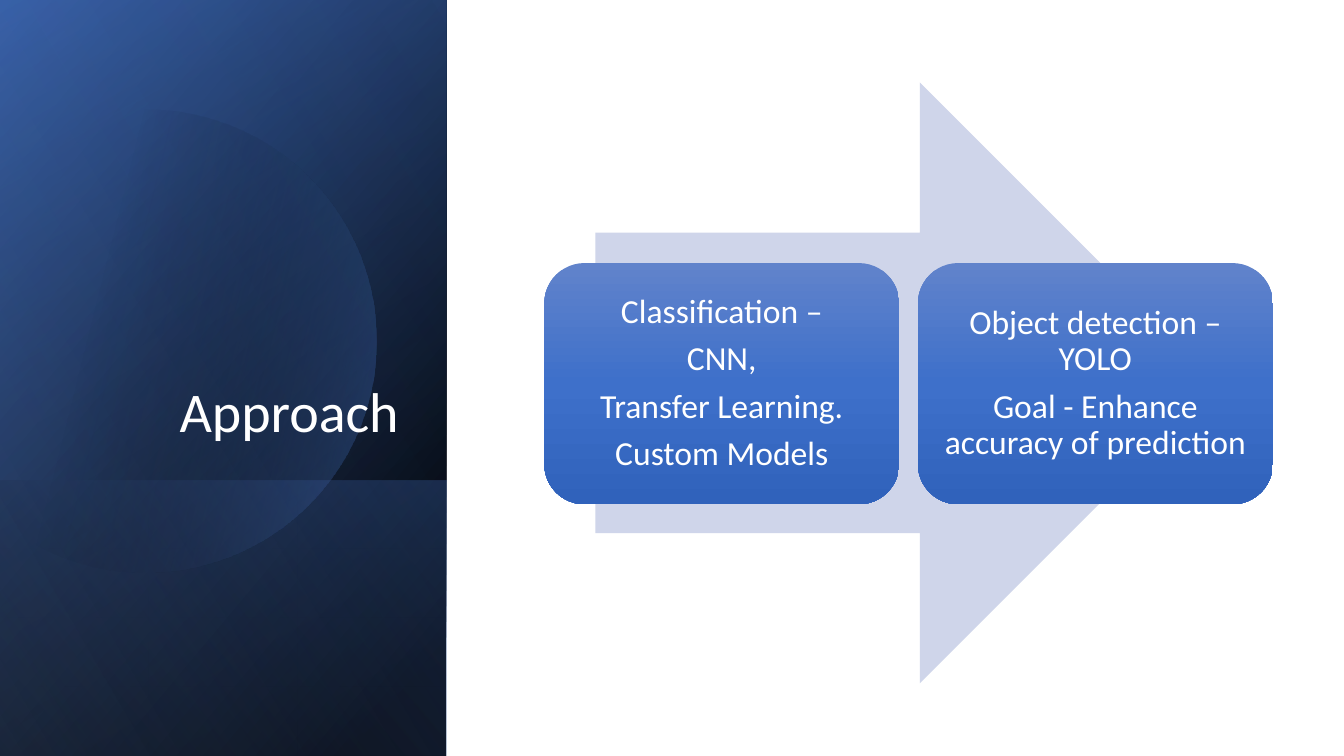
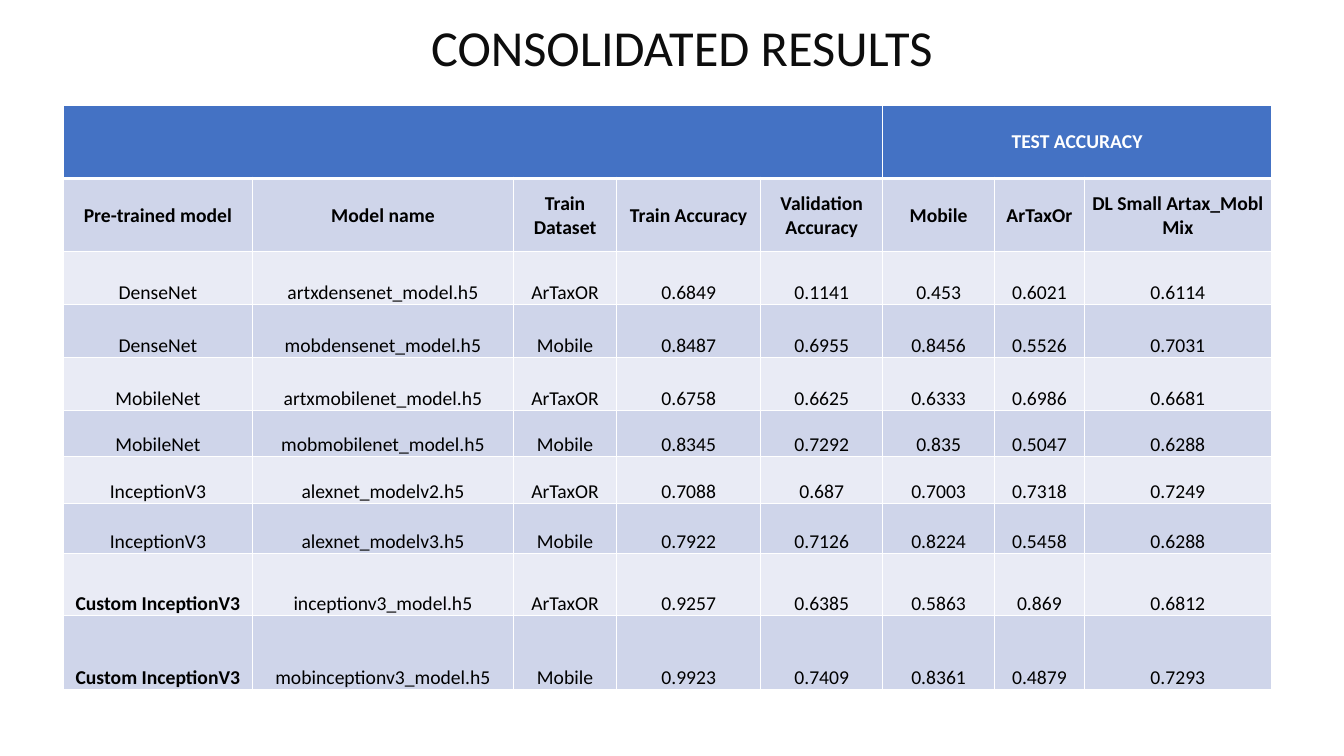
"""Build two slides: the modelling approach and the consolidated results."""
from math import acos, cos, sin

from lxml import etree
from pptx import Presentation
from pptx.dml.color import RGBColor
from pptx.enum.shapes import MSO_SHAPE
from pptx.enum.text import MSO_ANCHOR, PP_ALIGN
from pptx.oxml.ns import qn
from pptx.util import Emu, Inches, Pt

RECTANGLE = MSO_SHAPE.RECTANGLE
ROUNDED = MSO_SHAPE.ROUNDED_RECTANGLE
ARROW = MSO_SHAPE.RIGHT_ARROW
CENTER, RIGHT = PP_ALIGN.CENTER, PP_ALIGN.RIGHT
MIDDLE, BOTTOM = MSO_ANCHOR.MIDDLE, MSO_ANCHOR.BOTTOM

FONT = "Calibri"
WHITE, BLACK, INK = "FFFFFF", "000000", "0D0D0D"
BLUE, NAVY, SKY = "4472C4", "2F5597", "8FAADC"
BAND_DARK, BAND_LIGHT = "CFD5EA", "E9EBF5"

WIDTH, HEIGHT = Emu(12192000), Emu(6858000)
COLUMN, ROW = WIDTH // 1000, HEIGHT // 1000


def paint(shape, stops, angle=0):
    """Fill a shape with (position, colour, opacity) stops, or one plain colour."""
    shape.shadow.inherit = False
    shape.line.fill.background()
    if isinstance(stops, str):
        shape.fill.solid()
        shape.fill.fore_color.rgb = RGBColor.from_string(stops)
        return
    shape.fill.gradient()
    shape.fill.gradient_angle = 360 - angle
    stop_list = shape.element.spPr.find(qn("a:gradFill")).find(qn("a:gsLst"))
    for old_stop in list(stop_list):
        stop_list.remove(old_stop)
    for position, color, opacity in stops:
        stop = etree.SubElement(stop_list, qn("a:gs"), pos=str(position * 1000))
        value = etree.SubElement(stop, qn("a:srgbClr"), val=color)
        etree.SubElement(value, qn("a:alpha"), val=str(opacity * 1000))


def write(frame, text, size, color, alignment=CENTER, bold=False, line_spacing=0.9, space_after=0):
    """Set the text of a frame and format every paragraph alike."""
    frame.word_wrap = True
    frame.text = text
    for paragraph in frame.paragraphs:
        paragraph.alignment = alignment
        paragraph.line_spacing = line_spacing
        paragraph.space_after = Pt(space_after)
        for run in paragraph.runs:
            run.font.name = FONT
            run.font.size = Pt(size)
            run.font.bold = bold
            run.font.color.rgb = RGBColor.from_string(color)


presentation = Presentation()
presentation.slide_width, presentation.slide_height = WIDTH, HEIGHT
blank = presentation.slide_layouts[6]

slide = presentation.slides.add_slide(blank)
panel_width = 332 * COLUMN
panels = [
    (0, [(8, BLACK, 100), (100, NAVY, 100)], 50),
    (0, [(0, BLACK, 0), (99, BLUE, 46)], 30),
    (635, [(2, BLUE, 29), (100, BLACK, 30)], 130),
    (0, [(0, BLACK, 0), (99, SKY, 11)], 120),
]
for index, (top_row, stops, angle) in enumerate(panels):
    if index == 3:
        center_x, center_y, radius = 108 * COLUMN, 451 * ROW, 172 * COLUMN
        half_sweep = acos(-center_x / radius)
        angles = [half_sweep * (step / 60 - 1) for step in range(121)]
        points = [(center_x + radius * cos(turn), center_y + radius * sin(turn)) for turn in angles]
        builder = slide.shapes.build_freeform(*points[0], scale=1.0)
        builder.add_line_segments(points[1:], close=True)
        paint(builder.convert_to_shape(), [(29, BLACK, 0), (100, BLUE, 43)], 14)
    panel_height = HEIGHT - top_row * ROW
    left = (panel_width - panel_height) // 2
    top = top_row * ROW + (panel_height - panel_width) // 2
    panel = slide.shapes.add_shape(RECTANGLE, left, top, panel_height, panel_width)
    panel.rotation = 90
    panel.element.spPr.find(qn("a:xfrm")).set("flipH", "1")
    paint(panel, stops, angle)

title = slide.shapes.add_textbox(48 * COLUMN, 245 * ROW, 256 * COLUMN, 350 * ROW)
title.text_frame.vertical_anchor = BOTTOM
write(title.text_frame, "Approach", 40, WHITE, RIGHT)

arrow = slide.shapes.add_shape(ARROW, 443 * COLUMN, 109 * ROW, 465 * COLUMN, 795 * ROW)
paint(arrow, BAND_DARK)
cards = [
    "Classification –\nCNN,\nTransfer Learning.\nCustom Models",
    "Object detection –YOLO\nGoal - Enhance accuracy of prediction",
]
for index, text in enumerate(cards):
    left = (405 + 278 * index) * COLUMN
    card = slide.shapes.add_shape(ROUNDED, left, 348 * ROW, 264 * COLUMN, 319 * ROW)
    paint(card, [(0, "6183CB", 100), (50, "3E70CA", 100), (100, "3062BB", 100)], 90)
    frame = card.text_frame
    frame.vertical_anchor = MIDDLE
    frame.margin_left = frame.margin_right = frame.margin_top = frame.margin_bottom = Inches(0.1)
    write(frame, text, 24, WHITE, space_after=8)

slide = presentation.slides.add_slide(blank)
title = slide.shapes.add_textbox(102 * COLUMN, 8 * ROW, 811 * COLUMN, 116 * ROW)
title.text_frame.vertical_anchor = MIDDLE
write(title.text_frame, "CONSOLIDATED RESULTS", 36, INK)

records = [
    ("", "", "", "", "", "TEST ACCURACY", "", ""),
    ("Pre-trained model", "Model name", "Train Dataset", "Train Accuracy",
     "Validation Accuracy", "Mobile", "ArTaxOr", "DL Small Artax_Mobl Mix"),
    ("DenseNet", "artxdensenet_model.h5", "ArTaxOR", "0.6849", "0.1141", "0.453", "0.6021", "0.6114"),
    ("DenseNet", "mobdensenet_model.h5", "Mobile", "0.8487", "0.6955", "0.8456", "0.5526", "0.7031"),
    ("MobileNet", "artxmobilenet_model.h5", "ArTaxOR", "0.6758", "0.6625", "0.6333", "0.6986", "0.6681"),
    ("MobileNet", "mobmobilenet_model.h5", "Mobile", "0.8345", "0.7292", "0.835", "0.5047", "0.6288"),
    ("InceptionV3", "alexnet_modelv2.h5", "ArTaxOR", "0.7088", "0.687", "0.7003", "0.7318", "0.7249"),
    ("InceptionV3", "alexnet_modelv3.h5", "Mobile", "0.7922", "0.7126", "0.8224", "0.5458", "0.6288"),
    ("Custom InceptionV3", "inceptionv3_model.h5", "ArTaxOR", "0.9257", "0.6385", "0.5863", "0.869", "0.6812"),
    ("Custom InceptionV3", "mobinceptionv3_model.h5", "Mobile", "0.9923", "0.7409", "0.8361", "0.4879", "0.7293"),
]
column_widths = [141, 194, 77, 107, 91, 83, 67, 139]
row_heights = [97, 97, 70, 70, 70, 61, 62, 66, 82, 98]
table = slide.shapes.add_table(
    len(records), len(column_widths), 47 * COLUMN, 139 * ROW,
    sum(column_widths) * COLUMN, sum(row_heights) * ROW,
).table
for column, width in zip(table.columns, column_widths):
    column.width = width * COLUMN
for row, height in zip(table.rows, row_heights):
    row.height = height * ROW
table.cell(0, 0).merge(table.cell(0, 4))
table.cell(0, 5).merge(table.cell(0, 7))

for row_index, record in enumerate(records):
    is_heading = row_index < 2
    band = BLUE if row_index == 0 else (BAND_LIGHT, BAND_DARK)[row_index % 2]
    for column_index, text in enumerate(record):
        cell = table.cell(row_index, column_index)
        cell.margin_left = cell.margin_right = cell.margin_top = Inches(0.01)
        cell.margin_bottom = 0
        cell.vertical_anchor = MIDDLE if is_heading else BOTTOM
        bold = is_heading or (column_index == 0 and text.startswith("Custom"))
        write(cell.text_frame, text, 14, BLACK if row_index else WHITE, bold=bold, line_spacing=1.0)
        properties = cell._tc.get_or_add_tcPr()
        for side in ("lnL", "lnR", "lnT", "lnB"):
            thick = (row_index, side) in ((0, "lnB"), (1, "lnT"))
            border = etree.SubElement(properties, qn("a:" + side), w=str(Pt(3 if thick else 1)))
            border_fill = etree.SubElement(border, qn("a:solidFill"))
            etree.SubElement(border_fill, qn("a:srgbClr"), val=WHITE)
        cell.fill.solid()
        cell.fill.fore_color.rgb = RGBColor.from_string(band)

for heading_row in (0,):
    table.first_row = True
presentation.save("out.pptx")
